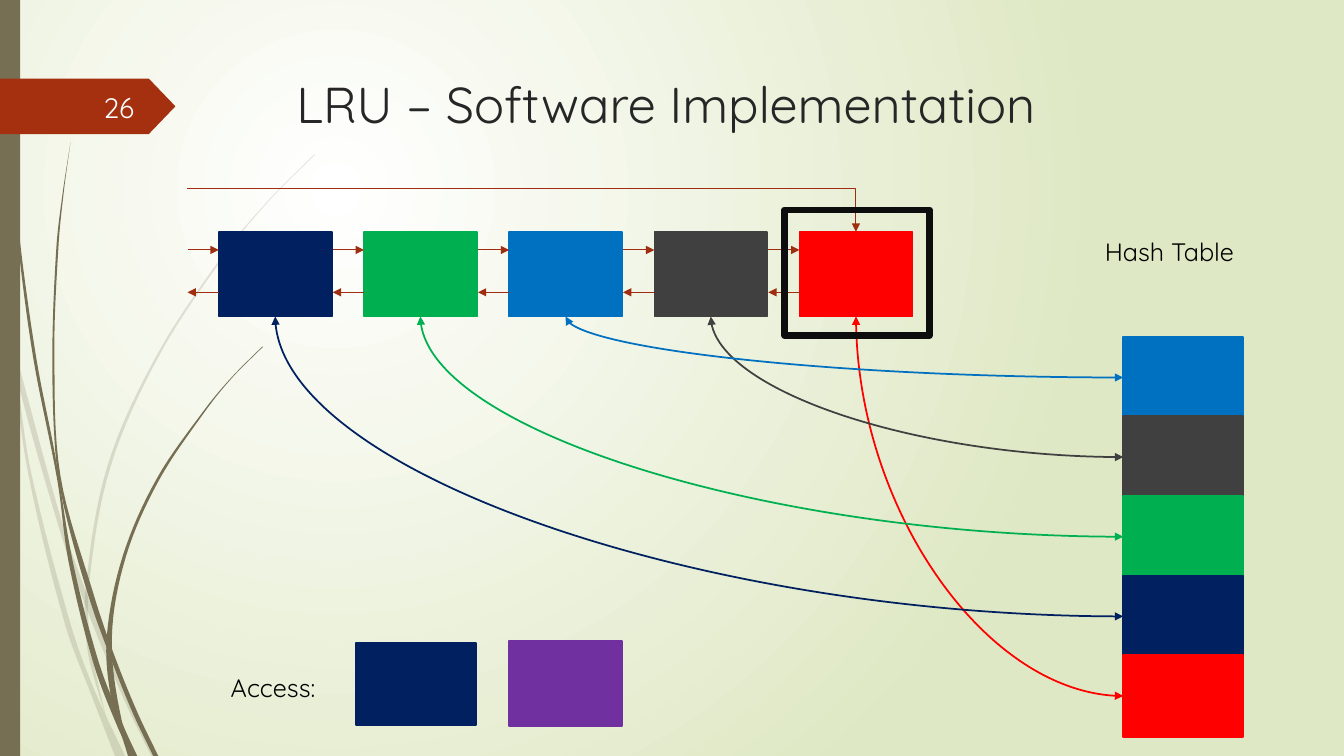
from lxml import etree
from pptx import Presentation
from pptx.dml.color import RGBColor
from pptx.enum.shapes import MSO_CONNECTOR as Link, MSO_SHAPE as Shape
from pptx.enum.text import MSO_ANCHOR as Anchor, PP_ALIGN as Align
from pptx.oxml.ns import qn
from pptx.util import Inches, Pt

FONT = "Quicksand"
NAVY, GREEN, BLUE, GRAY, RED = "002060", "00B050", "0070C0", "404040", "FF0000"
PURPLE, RUST, OLIVE = "7030A0", "9E2E0F", "766F54"
NODES = [NAVY, GREEN, BLUE, GRAY, RED]
HASH = [BLUE, GRAY, GREEN, NAVY, RED]

# Each wisp is a left edge and a right edge, from top to bottom
PALE = [
    ([(0.14, 3.45), (0.17, 3.76), (0.58, 5.22), (0.84, 5.99), (1.23, 6.94), (1.5, 7.5)],
     [(0.14, 3.45), (0.62, 5.2), (0.85, 5.86), (1.27, 6.92), (1.55, 7.5)]),
    ([(0, 2.99), (0.11, 3.5), (0.28, 4.7), (0.65, 6.21), (0.92, 6.93), (1.14, 7.5)],
     [(0, 2.82), (0.09, 3.22), (0.17, 3.76), (0.31, 4.69), (0.7, 6.19), (0.93, 6.83),
      (1.24, 7.5)]),
    ([(3.12, 1.53), (2.68, 1.97), (2.28, 2.44), (1.58, 3.48), (1.07, 4.61), (0.85, 5.84),
      (0.87, 6.46), (1.05, 7.11)],
     [(3.12, 1.54), (2.68, 1.98), (2.29, 2.45), (1.6, 3.49), (1.1, 4.62), (0.88, 5.84),
      (0.91, 6.46), (1.05, 7.11)]),
]
DARK = [
    ([(0.03, 0), (0.07, 1.1), (0.17, 2.33), (0.33, 3.55), (0.57, 4.77), (0.68, 5.57),
      (0.93, 6.59), (1.17, 7.22), (1.31, 7.5)],
     [(0.04, 0), (0.08, 1.09), (0.19, 2.32), (0.36, 3.55), (0.55, 4.53), (0.72, 5.56),
      (0.98, 6.57), (1.22, 7.19), (1.36, 7.5)]),
    ([(0.7, 1.41), (0.62, 1.93), (0.56, 2.45), (0.52, 3.49), (0.55, 4.49), (0.64, 5.05),
      (0.88, 5.92), (1.11, 6.56), (1.32, 7.08), (1.52, 7.5)],
     [(0.7, 1.41), (0.63, 1.93), (0.58, 2.45), (0.54, 3.49), (0.6, 4.72), (0.93, 5.9),
      (1.13, 6.49), (1.36, 7.06), (1.57, 7.5)]),
    ([(2.6, 3.44), (2.31, 3.73), (2.04, 4.05), (1.56, 4.74), (1.22, 5.51), (1.06, 6.31),
      (1.1, 6.91), (1.27, 7.5)],
     [(2.61, 3.44), (2.31, 3.74), (2.05, 4.06), (1.58, 4.76), (1.25, 5.52), (1.11, 6.33),
      (1.21, 7.16), (1.36, 7.5)]),
]


def color(code):
    return RGBColor.from_string(code)


def write(frame, text, size=18, ink="000000", align=Align.LEFT, anchor=Anchor.TOP):
    frame.word_wrap = True
    frame.vertical_anchor = anchor
    para = frame.paragraphs[0]
    para.alignment = align
    run = para.add_run()
    run.text = text
    run.font.name = FONT
    run.font.size = Pt(size)
    run.font.color.rgb = color(ink)


def label(slide, x, y, w, text, **style):
    box = slide.shapes.add_textbox(Inches(x), Inches(y), Inches(w), Inches(0.4))
    write(box.text_frame, text, **style)


def paint(shape, fill=None, line=None, width=1.25):
    shape.shadow.inherit = False
    if fill:
        shape.fill.solid()
        shape.fill.fore_color.rgb = color(fill)
    else:
        shape.fill.background()
    if line:
        shape.line.color.rgb = color(line)
        shape.line.width = Pt(width)
    else:
        shape.line.fill.background()


def block(slide, x, y, w, h, fill=None, line=None, width=1.25, kind=Shape.RECTANGLE):
    shape = slide.shapes.add_shape(kind, Inches(x), Inches(y), Inches(w), Inches(h))
    paint(shape, fill, line, width)
    return shape


def arrow(slide, start, end, ink, width=0.75, kind=Link.STRAIGHT, both=False):
    link = slide.shapes.add_connector(kind, *map(Inches, start + end))
    link.line.color.rgb = color(ink)
    link.line.width = Pt(width)
    props = link._element.spPr
    line = props.find(qn("a:ln"))
    for tip in ["headEnd", "tailEnd"] if both else ["tailEnd"]:
        etree.SubElement(line, qn(f"a:{tip}"), type="triangle")
    etree.SubElement(props, qn("a:effectLst"))
    # A single bend needs the two-part preset
    if kind != Link.STRAIGHT:
        geom = props.find(qn("a:prstGeom"))
        geom.set("prst", geom.get("prst").replace("3", "2"))
    return link


def smooth(knots, steps=8):
    """Cubic curve through the knots, with x as a function of y."""
    last = len(knots) - 1
    slopes = []
    for i in range(last + 1):
        (xa, ya), (xb, yb) = knots[max(i - 1, 0)], knots[min(i + 1, last)]
        slopes.append((xb - xa) / (yb - ya))
    points = [knots[0]]
    for i in range(last):
        (xa, ya), (xb, yb) = knots[i], knots[i + 1]
        gap = yb - ya
        for n in range(1, steps + 1):
            t = n / steps
            ease = t * t * (3 - 2 * t)
            bend = slopes[i] * t * (1 - t) ** 2 - slopes[i + 1] * t * t * (1 - t)
            points.append((xa + (xb - xa) * ease + gap * bend, ya + gap * t))
    return points


def wisp(slide, left, right, alpha=None):
    edge = smooth(left) + smooth(right)[::-1]
    points = [(Inches(x), Inches(y)) for x, y in edge]
    pen = slide.shapes.build_freeform(*points[0])
    pen.add_line_segments(points[1:], close=True)
    shape = pen.convert_to_shape()
    paint(shape, OLIVE)
    if alpha:
        tint = shape._element.spPr.find(qn("a:solidFill"))[0]
        etree.SubElement(tint, qn("a:alpha"), val=str(alpha * 1000))


def backdrop(slide):
    # Radial glow
    fill = slide.background.fill
    fill.gradient()
    for stop, code in zip(fill.gradient_stops, ["FFFFFF", "DFE8C4"]):
        stop.color.rgb = color(code)
    grad = slide._element.find(f".//{qn('p:bgPr')}/{qn('a:gradFill')}")
    grad.remove(grad.find(qn("a:lin")))
    glow = etree.SubElement(grad, qn("a:path"), path="circle")
    etree.SubElement(glow, qn("a:fillToRect"), l="50000", t="50000", r="100000", b="100000")
    # Wisps and side bar
    for left, right in PALE:
        wisp(slide, left, right, alpha=20)
    for left, right in DARK:
        wisp(slide, left, right)
    block(slide, 0, 0, 0.2, 7.5, OLIVE)


def header(slide, x, y, w, h):
    tag = block(slide, 0, y + 0.1, 1.74, 0.55, "A53010", kind=Shape.PENTAGON)
    tag.adjustments[0] = 0.48
    title = slide.shapes.title
    title.left, title.top, title.width, title.height = map(Inches, (x, y, w, h))
    write(title.text_frame, "LRU – Software Implementation", size=36, ink="262626")
    label(slide, 0.58, y + 0.18, 0.85, "26", size=20, ink="FEFFFF",
          align=Align.RIGHT, anchor=Anchor.MIDDLE)


def chain(slide, x, y, w=1.12, h=0.84, pitch=1.44):
    """Linked list; returns its nodes by colour."""
    nodes = {}
    for i, code in enumerate(NODES):
        left = x + i * pitch
        nodes[code] = block(slide, left, y, w, h, code, code)
        arrow(slide, (left - 0.31, y + 0.18), (left, y + 0.18), RUST)
        arrow(slide, (left, y + 0.6), (left - 0.31, y + 0.6), RUST)
    # Pointer to the last node
    end = x + 4 * pitch + w / 2
    link = arrow(slide, (x - 0.31, y - 0.43), (end, y), RUST, kind=Link.ELBOW)
    link.end_connect(nodes[RED], 0)
    return nodes


def table(slide, x, y, nodes, w=1.19, h=0.81, pitch=0.79):
    """Hash table, with a curve from each cell to its node."""
    label(slide, x - 0.28, y - 1.04, 1.74, "Hash Table")
    cells = {code: block(slide, x, y + i * pitch, w, h, code, code)
             for i, code in enumerate(HASH)}
    for code in reversed(NODES):
        link = arrow(slide, (x, y), (x - 1, y - 1), code, 1.25, Link.CURVE, both=True)
        link.begin_connect(cells[code], 1)
        link.end_connect(nodes[code], 2)


def access(slide, x, y):
    label(slide, x, y + 0.26, 1.41, "Access:")
    block(slide, x + 1.34, y + 0.02, 1.19, 0.81, NAVY, NAVY)
    block(slide, x + 2.86, y, 1.12, 0.84, PURPLE, PURPLE)


def main():
    deck = Presentation()
    deck.slide_width, deck.slide_height = Inches(13.33), Inches(7.5)
    slide = deck.slides.add_slide(deck.slide_layouts[5])
    backdrop(slide)
    header(slide, 2.84, 0.68, 9.75, 1.4)
    nodes = chain(slide, 2.17, 2.3)
    table(slide, 11.14, 3.34, nodes)
    # Frame around the last node
    block(slide, 7.78, 2.08, 1.44, 1.25, line="0D0D0D", width=4.5)
    access(slide, 2.19, 6.36)
    deck.save("out.pptx")


if __name__ == "__main__":
    main()
